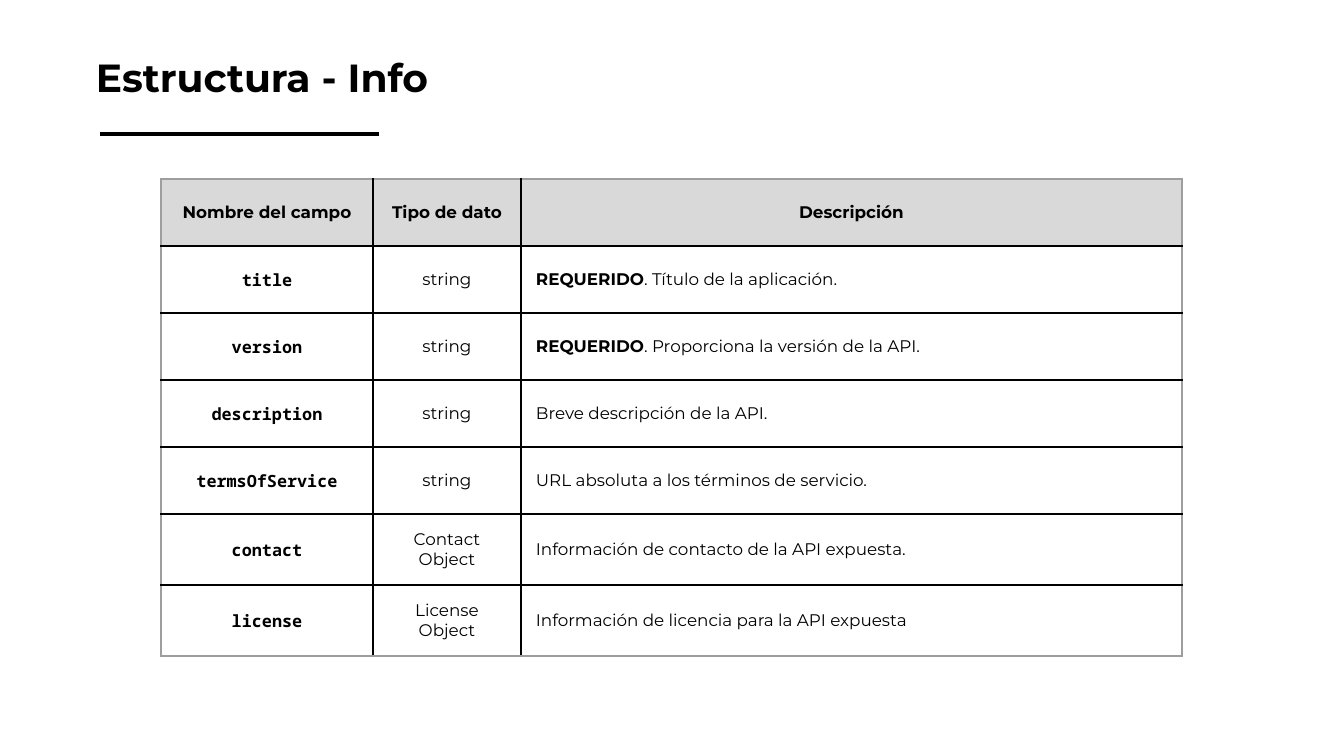
from dataclasses import dataclass

from lxml.etree import SubElement
from pptx import Presentation
from pptx.dml.color import RGBColor
from pptx.enum.shapes import MSO_CONNECTOR
from pptx.enum.text import MSO_ANCHOR, MSO_AUTO_SIZE, PP_ALIGN
from pptx.oxml.ns import qn
from pptx.util import Emu, Pt


@dataclass(frozen=True)
class Theme:
    ink: str = "000000"
    header_fill: str = "D9D9D9"
    outer_border: str = "9E9E9E"
    font: str = "Montserrat"
    code_font: str = "Noto Sans Mono"
    title_size: int = 28
    table_size: int = 12
    rule_width: int = 3
    border_width: int = 1


THEME = Theme()
EMU_PER_PX = 914400 / 100.8

COLUMN_WIDTHS = (212, 148, 661)
ROW_HEIGHTS = (67,) * 5 + (70, 71)
CELL_MARGIN = 15
TITLE_MARGIN = 13

HEADINGS = ("Nombre del campo", "Tipo de dato", "Descripción")
# Field name, data type, required flag, description
FIELDS = (
    ("title", "string", True, "Título de la aplicación."),
    ("version", "string", True, "Proporciona la versión de la API."),
    ("description", "string", False, "Breve descripción de la API."),
    ("termsOfService", "string", False, "URL absoluta a los términos de servicio."),
    ("contact", "Contact Object", False, "Información de contacto de la API expuesta."),
    ("license", "License Object", False, "Información de licencia para la API expuesta"),
)


def px(length):
    return Emu(round(length * EMU_PER_PX))


def add_text(paragraph, text, *, size=THEME.table_size, font=THEME.font,
             bold=False, align=PP_ALIGN.CENTER):
    paragraph.alignment = align
    run = paragraph.add_run()
    run.text = text
    run.font.size = Pt(size)
    run.font.name = font
    run.font.bold = bold
    run.font.color.rgb = RGBColor.from_string(THEME.ink)


def set_margins(target, margin):
    target.margin_left = target.margin_right = px(margin)
    target.margin_top = target.margin_bottom = px(margin)


def add_title(slide, text):
    title = slide.shapes.title
    title.left, title.top, title.width, title.height = map(px, (83, 32, 882, 82))
    frame = title.text_frame
    frame.auto_size = MSO_AUTO_SIZE.NONE
    frame.word_wrap = True
    frame.vertical_anchor = MSO_ANCHOR.MIDDLE
    set_margins(frame, TITLE_MARGIN)
    frame.paragraphs[0].line_spacing = 1.15
    add_text(frame.paragraphs[0], text, size=THEME.title_size, bold=True,
             align=PP_ALIGN.LEFT)


def add_rule(slide, left, right, y):
    rule = slide.shapes.add_connector(
        MSO_CONNECTOR.STRAIGHT, px(left), px(y), px(right), px(y))
    rule.line.color.rgb = RGBColor.from_string(THEME.ink)
    rule.line.width = Pt(THEME.rule_width)
    SubElement(rule._element.spPr, qn("a:effectLst"))


def set_borders(cell, outer_edges):
    properties = cell._tc.get_or_add_tcPr()
    for edge, is_outer in outer_edges.items():
        border = SubElement(properties, qn(f"a:ln{edge}"),
                            w=str(Pt(THEME.border_width)))
        fill = SubElement(border, qn("a:solidFill"))
        SubElement(fill, qn("a:srgbClr"),
                   val=THEME.outer_border if is_outer else THEME.ink)


def format_cell(cell, outer_edges, is_header):
    set_margins(cell, CELL_MARGIN)
    cell.vertical_anchor = MSO_ANCHOR.MIDDLE
    # Borders precede the fill in the cell properties
    set_borders(cell, outer_edges)
    if is_header:
        cell.fill.solid()
        cell.fill.fore_color.rgb = RGBColor.from_string(THEME.header_fill)
    else:
        cell.fill.background()


def add_field_table(slide, left, top):
    last_row, last_column = len(ROW_HEIGHTS) - 1, len(COLUMN_WIDTHS) - 1
    table = slide.shapes.add_table(
        len(ROW_HEIGHTS), len(COLUMN_WIDTHS), px(left), px(top),
        px(sum(COLUMN_WIDTHS)), px(sum(ROW_HEIGHTS))).table
    table.first_row = table.horz_banding = False
    for column, width in zip(table.columns, COLUMN_WIDTHS):
        column.width = px(width)
    for r, (row, height) in enumerate(zip(table.rows, ROW_HEIGHTS)):
        row.height = px(height)
        for c, cell in enumerate(row.cells):
            outer_edges = {"L": c == 0, "R": c == last_column,
                           "T": r == 0, "B": r == last_row}
            format_cell(cell, outer_edges, is_header=r == 0)

    # Header row
    for c, heading in enumerate(HEADINGS):
        add_text(table.cell(0, c).text_frame.paragraphs[0], heading, bold=True)

    # One row per field
    for r, (name, data_type, required, description) in enumerate(FIELDS, start=1):
        name_line, type_line, description_line = (
            cell.text_frame.paragraphs[0] for cell in table.rows[r].cells)
        add_text(name_line, name, font=THEME.code_font, bold=True)
        add_text(type_line, data_type)
        if required:
            add_text(description_line, "REQUERIDO", bold=True)
            description = ". " + description
        add_text(description_line, description, align=PP_ALIGN.JUSTIFY)


def main():
    presentation = Presentation()
    presentation.slide_width, presentation.slide_height = px(1344), px(756)
    slide = presentation.slides.add_slide(presentation.slide_layouts[5])
    add_rule(slide, left=100, right=379, y=134)
    add_title(slide, "Estructura - Info")
    add_field_table(slide, left=161, top=179)
    presentation.save("out.pptx")


main()
